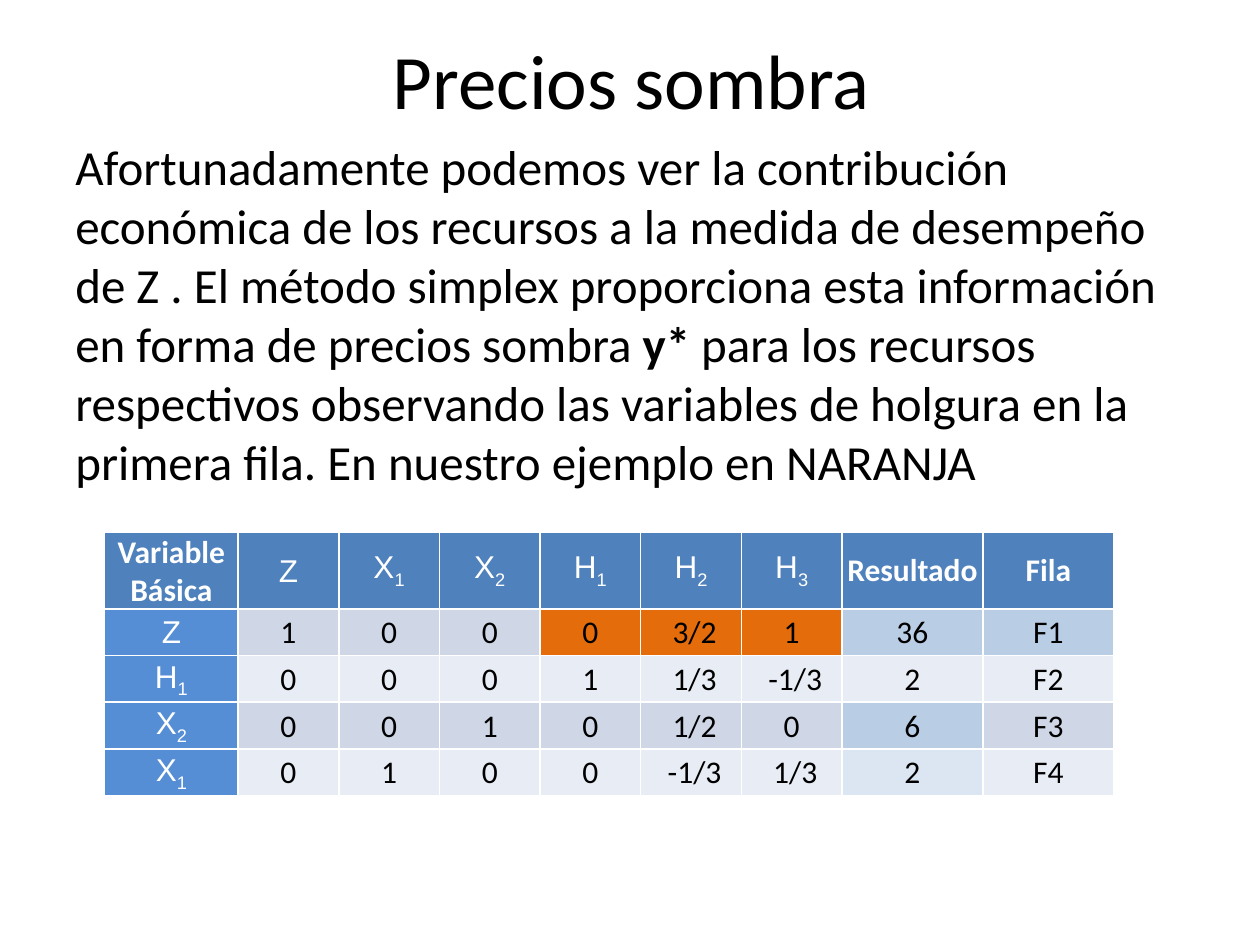
from dataclasses import dataclass

from lxml import etree
from pptx import Presentation
from pptx import util as u
from pptx.dml.color import RGBColor
from pptx.enum import text
from pptx.oxml.ns import qn

COLORS = {
    "black": "000000",
    "white": "FFFFFF",
    "header": "4F81BD",
    "label": "558ED5",
    "dark_band": "CFD7E7",
    "light_band": "E8ECF4",
    "orange": "E46C0A",
    "dark_result": "B9CDE5",
    "light_result": "DCE6F2",
}

HEADERS = ["Variable Básica", "Z", "X_1", "X_2", "H_1", "H_2", "H_3", "Resultado", "Fila"]
COLUMN_WIDTHS = [2.69] + [2.03] * 6 + [2.84, 2.64]
ROW_HEIGHTS = [1.4] + [0.94] * 4


@dataclass
class TextBlock:
    left: float
    top: float
    width: float
    height: float
    phrases: list[str]
    size: int
    alignment: text.PP_ALIGN
    anchor: text.MSO_ANCHOR


@dataclass
class SimplexRow:
    variable: str
    values: list[str]
    fills: list[str]


@dataclass
class CellStyle:
    fill: str
    color: str = "black"
    font: str = "Calibri"
    bold: bool = False
    side_margin: float = 0.03
    top_margin: float = 0.03
    bottom_margin: float = 0
    bottom_border: float = 1


BLOCKS = [
    TextBlock(1.3, 0, 22.86, 3.18, ["Precios sombra"], 44,
              text.PP_ALIGN.CENTER, text.MSO_ANCHOR.MIDDLE),
    TextBlock(1.27, 2.51, 22.86, 7.39, [
        "Afortunadamente podemos ver la contribución económica de los recursos "
        "a la medida de desempeño de Z . El método simplex proporciona esta "
        "información en forma de precios sombra ",
        "y*",
        " para los recursos respectivos observando las variables de holgura "
        "en la primera fila. En nuestro ejemplo en NARANJA",
    ], 28, text.PP_ALIGN.LEFT, text.MSO_ANCHOR.TOP),
]

ROWS = [
    SimplexRow("Z", ["1", "0", "0", "0", " 3/2", "1", "36", "F1"],
               ["dark_band"] * 3 + ["orange"] * 3 + ["dark_result"] * 2),
    SimplexRow("H_1", ["0", "0", "0", "1", " 1/3", " -1/3", "2", "F2"],
               ["light_band"] * 8),
    SimplexRow("X_2", ["0", "0", "1", "0", " 1/2", "0", "6", "F3"],
               ["dark_band"] * 6 + ["dark_result", "dark_band"]),
    SimplexRow("X_1", ["0", "1", "0", "0", " -1/3", " 1/3", "2", "F4"],
               ["light_band"] * 6 + ["light_result", "light_band"]),
]


def rgb(name: str) -> RGBColor:
    return RGBColor.from_string(COLORS[name])


def format_font(font, name: str, size: int, color: str, bold: bool) -> None:
    font.name = name
    font.size = u.Pt(size)
    font.bold = bold
    font.color.rgb = rgb(color)


def draw_text(slide, block: TextBlock) -> None:
    shape = slide.shapes.add_textbox(
        u.Cm(block.left), u.Cm(block.top), u.Cm(block.width), u.Cm(block.height))
    frame = shape.text_frame
    frame.word_wrap = True
    frame.vertical_anchor = block.anchor
    frame.margin_left = frame.margin_right = u.Cm(0.25)
    frame.margin_top = frame.margin_bottom = u.Cm(0.25)
    paragraph = frame.paragraphs[0]
    paragraph.alignment = block.alignment
    for phrase in block.phrases:
        run = paragraph.add_run()
        run.text = phrase
        format_font(run.font, "Calibri", block.size, "black", phrase == "y*")


def draw_borders(cell, bottom_width: float) -> None:
    properties = cell._tc.get_or_add_tcPr()
    for side in "LRTB":
        width = bottom_width if side == "B" else 1
        line = etree.SubElement(properties, qn(f"a:ln{side}"), w=str(u.Pt(width)))
        fill = etree.SubElement(line, qn("a:solidFill"))
        etree.SubElement(fill, qn("a:srgbClr"), val=COLORS["white"])


def draw_cell(cell, content: str, style: CellStyle) -> None:
    draw_borders(cell, style.bottom_border)
    cell.fill.solid()
    cell.fill.fore_color.rgb = rgb(style.fill)
    cell.vertical_anchor = text.MSO_ANCHOR.MIDDLE
    cell.margin_left = cell.margin_right = u.Cm(style.side_margin)
    cell.margin_top = u.Cm(style.top_margin)
    cell.margin_bottom = u.Cm(style.bottom_margin)
    paragraph = cell.text_frame.paragraphs[0]
    paragraph.alignment = text.PP_ALIGN.CENTER
    for index, symbol in enumerate(content.split("_")):
        run = paragraph.add_run()
        run.text = symbol
        format_font(run.font, style.font, 18, style.color, style.bold)
        if index:
            run._r.get_or_add_rPr().set("baseline", "-25000")


def header_style(header: str) -> CellStyle:
    style = CellStyle("header", "white", bottom_border=1.5)
    style.bold = len(header) > 3
    if not style.bold:
        style.font = "Arial"
    if "_" in header:
        style.side_margin = 0.25
        style.top_margin = style.bottom_margin = 0.13
    return style


def draw_table(slide) -> None:
    shape = slide.shapes.add_table(
        len(ROW_HEIGHTS), len(COLUMN_WIDTHS), u.Cm(2.11), u.Cm(10.72),
        u.Cm(sum(COLUMN_WIDTHS)), u.Cm(sum(ROW_HEIGHTS)))
    table = shape.table
    table.horz_banding = False
    table.first_row = False
    for column, width in zip(table.columns, COLUMN_WIDTHS):
        column.width = u.Cm(width)
    for row, height in zip(table.rows, ROW_HEIGHTS):
        row.height = u.Cm(height)
    for column_index, header in enumerate(HEADERS):
        draw_cell(table.cell(0, column_index), header, header_style(header))
    for row_index, row in enumerate(ROWS, start=1):
        draw_cell(table.cell(row_index, 0), row.variable,
                  CellStyle("label", "white", "Arial"))
        for column_index, (value, fill) in enumerate(zip(row.values, row.fills), start=1):
            draw_cell(table.cell(row_index, column_index), value, CellStyle(fill))


def main() -> None:
    presentation = Presentation()
    presentation.slide_width = u.Cm(25.4)
    presentation.slide_height = u.Cm(19.05)
    slide = presentation.slides.add_slide(presentation.slide_layouts[6])
    for block in BLOCKS:
        draw_text(slide, block)
    draw_table(slide)
    presentation.save("out.pptx")


if __name__ == "__main__":
    main()
